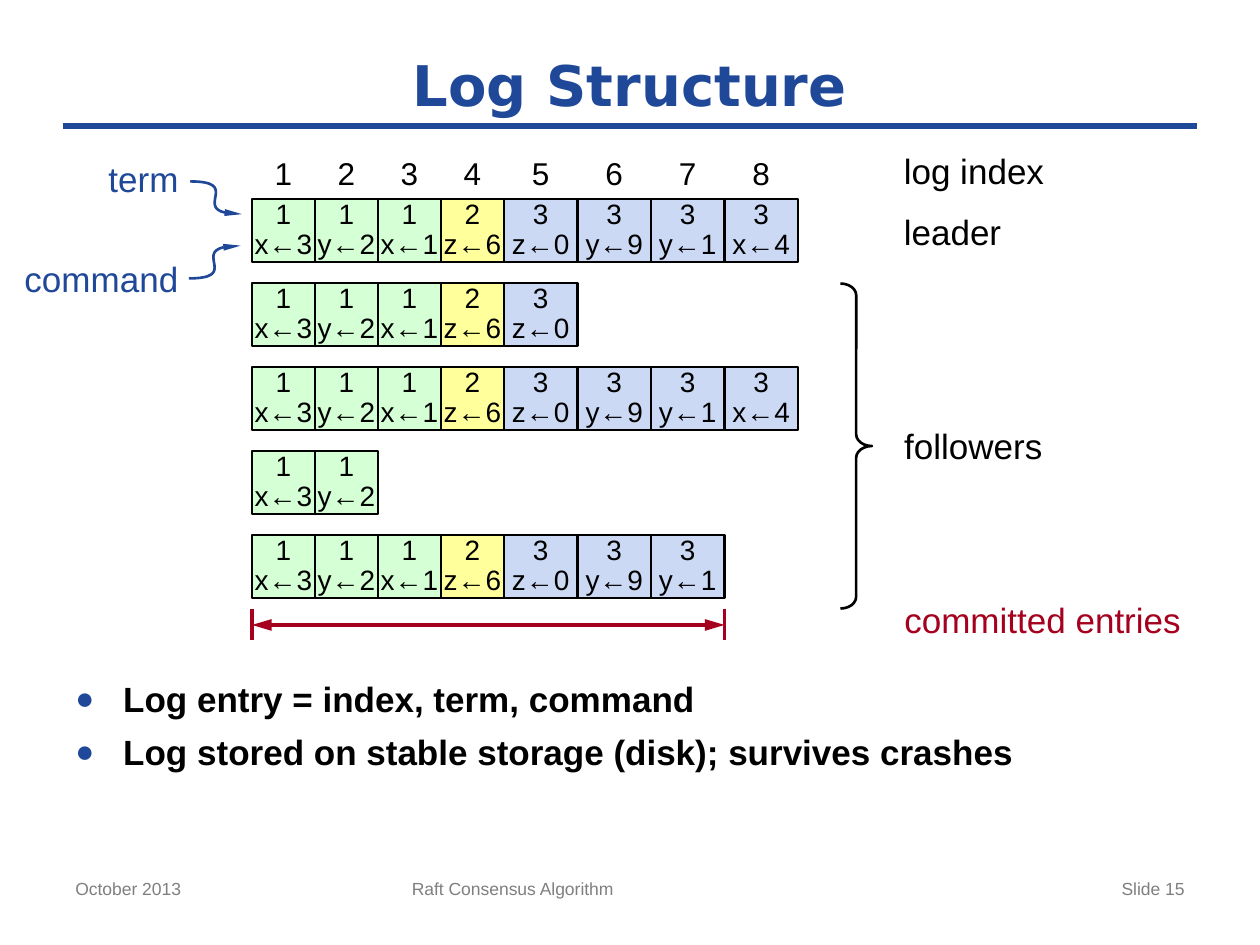
from dataclasses import dataclass
from itertools import accumulate
from lxml.etree import SubElement
from pptx import Presentation
from pptx.dml.color import RGBColor
from pptx.enum.shapes import MSO_CONNECTOR, MSO_SHAPE
from pptx.enum.text import MSO_ANCHOR, PP_ALIGN
from pptx.oxml.ns import qn
from pptx.util import Inches, Pt


@dataclass(frozen=True)
class Theme:
    """Colours, fonts and type sizes."""
    blue: str = "1F4899"
    red: str = "A5001E"
    black: str = "000000"
    gray: str = "7F7F7F"
    terms: tuple = ("D5FFD5", "FFFF9B", "CCD9F4")
    font: str = "Arial"
    head: str = "DejaVu Sans"
    title: int = 32
    body: int = 20
    index: int = 18
    entry: int = 16
    foot: int = 10


THEME = Theme()
LEFT, CENTER, RIGHT = PP_ALIGN.LEFT, PP_ALIGN.CENTER, PP_ALIGN.RIGHT
ENTRIES = ((1, "x←3"), (1, "y←2"), (1, "x←1"), (2, "z←6"),
           (3, "z←0"), (3, "y←9"), (3, "y←1"), (3, "x←4"))
LENGTHS = (8, 5, 8, 2, 7)
WIDTHS = [0.5] * 4 + [1.75 / 3] * 4
EDGES = list(accumulate(WIDTHS, initial=0))
PITCH = 2 / 3


def color(value):
    """Turn a hex string into a colour."""
    return RGBColor.from_string(value)


def style(frame, size, tone, align=LEFT, font=THEME.font, bold=False):
    """Set the font and alignment of all paragraphs."""
    for para in frame.paragraphs:
        para.alignment = align
        para.font.name, para.font.size, para.font.bold = font, Pt(size), bold
        para.font.color.rgb = color(tone)


def inset(frame):
    """Remove the margins of a text frame."""
    frame.margin_left = frame.margin_right = 0
    frame.margin_top = frame.margin_bottom = 0


def write(slide, box, text, size, tone, **look):
    """Add a wrapped text box and return its frame."""
    frame = slide.shapes.add_textbox(*map(Inches, box)).text_frame
    frame.word_wrap = True
    frame.text = text
    style(frame, size, tone, **look)
    return frame


def label(slide, x, y, width, text, tone):
    """Add a tight one-line label."""
    frame = write(slide, (x, y, width, 0.34), text, THEME.body, tone, align=CENTER)
    frame.word_wrap = False
    inset(frame)


def pen(shape, tone, weight):
    """Set the outline of a shape or connector."""
    shape.line.color.rgb = color(tone)
    shape.line.width = Pt(weight)


def tip(shape, width, *ends):
    """Add arrowheads to the named line ends."""
    line = shape.line._get_or_add_ln()
    for end in ends:
        SubElement(line, qn(f"a:{end}"), type="triangle", w=width, len="lg")


def rule(slide, start, end, tone, weight):
    """Add a straight line."""
    line = slide.shapes.add_connector(MSO_CONNECTOR.STRAIGHT, *map(Inches, start + end))
    pen(line, tone, weight)
    SubElement(line._element.spPr, qn("a:effectLst"))
    return line


def curve(slide, x, y, drop):
    """Add an S-shaped arrow that falls or rises by drop."""
    draw = slide.shapes.build_freeform(Inches(x), Inches(y), scale=1.0)
    points = ((x + 0.39, y), (x - 0.04, y + drop), (x + 0.41, y + drop))
    draw.add_line_segments([tuple(map(Inches, point)) for point in points], close=False)
    shape = draw.convert_to_shape()
    shape.shadow.inherit = False
    shape.fill.background()
    pen(shape, THEME.blue, 1.5)
    tip(shape, "sm", "tailEnd")
    steps = list(shape._element.iter(qn("a:lnTo")))
    bend = SubElement(steps[0].getparent(), qn("a:cubicBezTo"))
    for step in steps:
        bend.append(step[0])
        step.getparent().remove(step)


def header(slide, x, y, width):
    """Place the title and its rule."""
    frame = write(slide, (x, y, width, 0.67), "Log Structure", THEME.title,
                  THEME.blue, align=CENTER, font=THEME.head, bold=True)
    frame.vertical_anchor = MSO_ANCHOR.MIDDLE
    rule(slide, (x, y + 0.67), (x + width, y + 0.67), THEME.blue, 4)


def cell(slide, x, y, width, term, command):
    """Place one log entry."""
    box = slide.shapes.add_shape(MSO_SHAPE.RECTANGLE, *map(Inches, (x, y, width, 0.5)))
    box.shadow.inherit = False
    box.fill.solid()
    box.fill.fore_color.rgb = color(THEME.terms[term - 1])
    pen(box, THEME.black, 1.5)
    frame = box.text_frame
    frame.text = f"{term}\v{command}"
    frame.vertical_anchor = MSO_ANCHOR.MIDDLE
    inset(frame)
    style(frame, THEME.entry, THEME.black, CENTER)
    frame.paragraphs[0].line_spacing = Pt(17)


def logs(slide, x, y):
    """Place the index row and the log of each server."""
    for num, (edge, width) in enumerate(zip(EDGES, WIDTHS), 1):
        write(slide, (x + edge, y, width, 0.4), str(num), THEME.index,
              THEME.black, align=CENTER)
    for row, length in enumerate(LENGTHS):
        for edge, width, entry in list(zip(EDGES, WIDTHS, ENTRIES))[:length]:
            cell(slide, x + edge, y + 0.41 + row * PITCH, width, *entry)


def span(slide, x, y):
    """Place the range of committed entries."""
    end = x + EDGES[7]
    for side in (x, end):
        rule(slide, (side, y), (side, y + 0.25), THEME.red, 2.25)
    arrow = rule(slide, (x, y + 0.13), (end, y + 0.13), THEME.red, 2.25)
    tip(arrow, "med", "headEnd", "tailEnd")


def notes(slide, x, y):
    """Place the labels and brace right of the logs."""
    for drop, width, text, tone in (
            (0, 1.12, "log index", THEME.black), (0.48, 0.78, "leader", THEME.black),
            (2.18, 1.11, "followers", THEME.black),
            (3.56, 2.21, "committed entries", THEME.red)):
        label(slide, x, y + drop, width, text, tone)
    brace = slide.shapes.add_shape(
        MSO_SHAPE.RIGHT_BRACE, *map(Inches, (x - 0.5, y + 1.06, 0.25, 2.58)))
    brace.adjustments[0], brace.adjustments[1] = 0.372, 0.5
    brace.shadow.inherit = False
    brace.fill.background()
    pen(brace, THEME.black, 1.5)


def parts(slide, x, y):
    """Place the entry part labels and their arrows."""
    label(slide, x + 0.67, y, 0.56, "term", THEME.blue)
    label(slide, x, y + 0.79, 1.23, "command", THEME.blue)
    curve(slide, x + 1.32, y + 0.19, 0.26)
    curve(slide, x + 1.31, y + 0.96, -0.26)


def points(slide, x, y, width):
    """Place the bullet list."""
    text = ("Log entry = index, term, command\n"
            "Log stored on stable storage (disk); survives crashes")
    frame = write(slide, (x, y, width, 1.58), text, THEME.body, THEME.black, bold=True)
    for para in frame.paragraphs:
        para.space_before = Pt(6)
        props = para._p.get_or_add_pPr()
        props.set("marL", str(Inches(0.38)))
        props.set("indent", str(-Inches(0.38)))
        tone = SubElement(props, qn("a:buClr"))
        SubElement(tone, qn("a:srgbClr"), val=THEME.blue)
        SubElement(props, qn("a:buSzPct"), val="90000")
        SubElement(props, qn("a:buFont"), typeface=THEME.font)
        SubElement(props, qn("a:buChar"), char="●")
        props.append(props.find(qn("a:defRPr")))


def footer(slide, x, y):
    """Place the date, talk name and slide number."""
    for shift, width, text, align in (
            (0, 2.33, "October 2013", LEFT),
            (2.67, 3.75, "Raft Consensus Algorithm", LEFT),
            (6.67, 2.33, "Slide 15", RIGHT)):
        write(slide, (x + shift, y, width, 0.43), text, THEME.foot, THEME.gray, align=align)


deck = Presentation()
deck.slide_width, deck.slide_height = Inches(10), Inches(7.5)
page = deck.slides.add_slide(deck.slide_layouts[6])
header(page, 0.5, 0.33, 9)
logs(page, 2, 1.17)
span(page, 2, 4.83)
notes(page, 7.17, 1.19)
parts(page, 0.19, 1.25)
points(page, 0.5, 5.33, 9)
footer(page, 0.5, 6.92)
deck.save("out.pptx")
